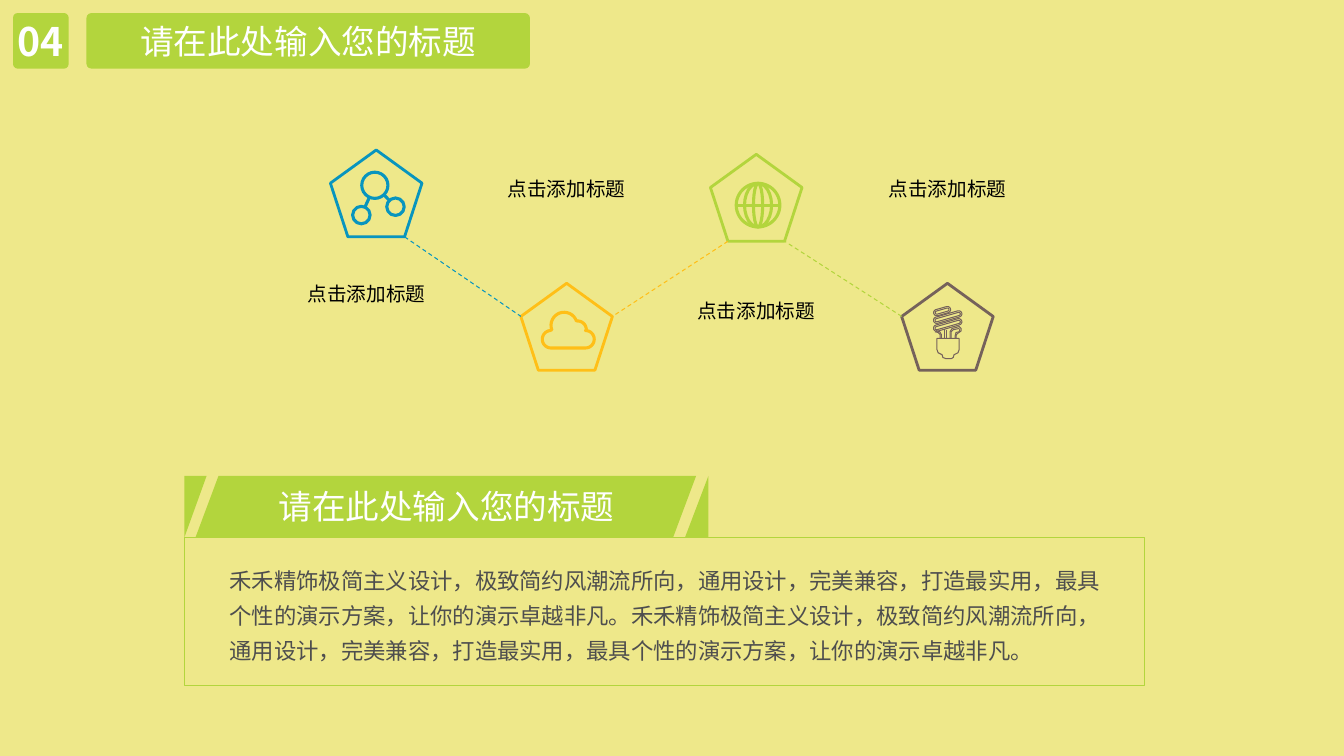
"""Build a slide with four linked pentagon icons, a title and a text panel."""
from math import cos, sin, radians, hypot

from lxml.etree import SubElement
from pptx import Presentation
from pptx.dml.color import RGBColor
from pptx.enum.dml import MSO_LINE
from pptx.enum.shapes import MSO_CONNECTOR, MSO_SHAPE
from pptx.enum.text import MSO_ANCHOR, PP_ALIGN
from pptx.oxml.ns import qn
from pptx.util import Cm, Pt

HUES = {"back": "EEE88A", "blue": "0895BE", "gold": "FFBF17", "lime": "B3D53D",
        "brown": "75625B", "white": "FFFFFF", "black": "000000", "grey": "4E4E4E"}
SANS = "Noto Sans CJK SC"
TITLE = "请在此处输入您的标题"
LABEL = "点击添加标题"
CLAIM = "禾禾精饰极简主义设计，极致简约风潮流所向，通用设计，完美兼容，打造最实用，最具个性的演示方案，让你的演示卓越非凡。"
WIDE, HIGH = 2.31, 2.19
PENTS = {"blue": (8.33, 3.78), "gold": (13.13, 7.14),
         "lime": (17.91, 3.89), "brown": (22.73, 7.14)}
FOOT_L, FOOT_R, SIDE_L, SIDE_R = (0.19, 1), (0.81, 1), (0, 0.38), (1, 0.38)
LINKS = [("blue", FOOT_R, "gold", SIDE_L, "blue"),
         ("lime", FOOT_L, "gold", SIDE_R, "gold"),
         ("brown", SIDE_L, "lime", FOOT_R, "lime")]
LABELS = [(6.78, 6.96, 4.93), (11.58, 4.32, 5.41), (16.36, 7.39, 5.41), (21.18, 4.32, 5.41)]
ATOMS = [(1.12, 0.89, 0.33), (0.78, 1.64, 0.22), (1.64, 1.43, 0.22)]
GLOBE = (1.2, 1.28, 0.55)
ARCS = [(0.76, 1.41, 0.22, 90, 262), (1.09, 1.06, 0.33, 160, 340),
        (1.43, 1.17, 0.22, -90, 0), (1.63, 1.41, 0.22, -90, 90)]
COILS = [(1.02, 0.7, 0.44), (1.16, 0.85, 0.74), (1.16, 1.05, 0.74)]
BASE = [(0.89, 1.39), (1.45, 1.39), (1.45, 1.67), (1.42, 1.75), (1.32, 1.8), (1.3, 1.87),
        (1.25, 1.9), (1.12, 1.9), (1.04, 1.87), (1.02, 1.8), (0.92, 1.75), (0.89, 1.67)]
STEMS = [[(0.84, 1.22), (0.92, 1.24), (0.97, 1.29), (0.97, 1.39)],
         [(0.87, 1.19), (0.96, 1.22), (1, 1.29), (1, 1.39)],
         [(1.09, 1.39), (1.09, 1.16)], [(1.12, 1.39), (1.12, 1.17)],
         [(1.22, 1.39), (1.22, 1.22), (1.27, 1.14), (1.45, 1.09), (1.5, 1.14),
          (1.5, 1.2), (1.4, 1.27), (1.37, 1.32), (1.37, 1.39)],
         [(1.25, 1.39), (1.25, 1.22), (1.3, 1.17), (1.44, 1.14), (1.47, 1.17),
          (1.45, 1.22), (1.37, 1.24), (1.35, 1.32), (1.35, 1.39)]]
RIBBON = [[(4.65, 11.99), (5.21, 11.99), (4.65, 13.54)],
          [(5.51, 11.99), (17.55, 11.99), (16.97, 13.54), (4.93, 13.54)],
          [(17.86, 11.99), (17.86, 13.54), (17.27, 13.54)]]

deck = Presentation()
deck.slide_width, deck.slide_height = Cm(33.88), Cm(19.05)
slide = deck.slides.add_slide(deck.slide_layouts[6])
art = slide.shapes


def rgb(hue):
    return RGBColor.from_string(HUES[hue])


def paint(part, fill=None, line=None, width=0.75):
    part.shadow.inherit = False
    if fill:
        part.fill.solid()
        part.fill.fore_color.rgb = rgb(fill)
    else:
        part.fill.background()
    if line:
        part.line.color.rgb = rgb(line)
        part.line.width = Pt(width)
    else:
        part.line.fill.background()
    return part


def shape(kind, x, y, w, h, **look):
    return paint(art.add_shape(kind, Cm(x), Cm(y), Cm(w), Cm(h)), **look)


def oval(x, y, rx, ry, hue):
    shape(MSO_SHAPE.OVAL, x - rx, y - ry, 2 * rx, 2 * ry, line=hue, width=2.2)


def trace(loops, x=0, y=0, close=True, **look):
    loops = [[(Cm(x + a), Cm(y + b)) for a, b in loop] for loop in loops]
    pen = art.build_freeform(*loops[0][0])
    for i, loop in enumerate(loops):
        if i:
            pen.move_to(*loop[0])
        pen.add_line_segments(loop[1:], close=close)
    return paint(pen.convert_to_shape(), **look)


def link(start, end, hue, width=0.75, dash=False):
    line = art.add_connector(MSO_CONNECTOR.STRAIGHT, *map(Cm, start + end))
    line.line.color.rgb = rgb(hue)
    line.line.width = Pt(width)
    if dash:
        line.line.dash_style = MSO_LINE.DASH
    SubElement(line._element.spPr, qn("a:effectLst"))


def write(part, text, size, hue, font=SANS, bold=False, pad=(0.25, 0.13), align=PP_ALIGN.CENTER):
    frame = part.text_frame
    frame.word_wrap = True
    frame.vertical_anchor = MSO_ANCHOR.MIDDLE
    frame.margin_left = frame.margin_right = Cm(pad[0])
    frame.margin_top = frame.margin_bottom = Cm(pad[1])
    para = frame.paragraphs[0]
    para.text, para.alignment = text, align
    face = para.font
    face.name, face.size, face.bold = font, Pt(size), bold
    face.color.rgb = rgb(hue)
    return para


def spot(name, corner):
    x, y = PENTS[name]
    return x + corner[0] * WIDE, y + corner[1] * HIGH


def atoms(x, y, hue):
    cx, cy, r = ATOMS[0]
    for ax, ay, ar in ATOMS:
        oval(x + ax, y + ay, ar, ar, hue)
    for ax, ay, ar in ATOMS[1:]:
        gap = hypot(ax - cx, ay - cy)
        ux, uy = (ax - cx) / gap, (ay - cy) / gap
        link((x + cx + r * ux, y + cy + r * uy), (x + ax - ar * ux, y + ay - ar * uy), hue, 2.2)


def cloud(x, y, hue):
    rim = [(cx + r * cos(radians(a + (b - a) * i / 16)), cy + r * sin(radians(a + (b - a) * i / 16)))
           for cx, cy, r, a, b in ARCS for i in range(17)]
    trace([rim], x, y, line=hue, width=2.2)


def globe(x, y, hue):
    cx, cy, r = x + GLOBE[0], y + GLOBE[1], GLOBE[2]
    for part in (1, 0.62, 0.21):
        oval(cx, cy, r * part, r, hue)
    link((cx - r, cy), (cx + r, cy), hue, 2.2)


def bulb(x, y, hue):
    for cx, cy, long in COILS:
        for cut in (0, 0.08):
            w, h = long - cut, 0.16 - cut
            bar = shape(MSO_SHAPE.ROUNDED_RECTANGLE, x + cx - w / 2, y + cy - h / 2, w, h, line=hue)
            bar.adjustments[0] = 0.5
            bar.rotation = -16
    trace(STEMS, x, y, close=False, line=hue)
    trace([BASE], x, y, line=hue)


slide.background.fill.solid()
slide.background.fill.fore_color.rgb = rgb("back")
for (hue, (x, y)), icon in zip(PENTS.items(), (atoms, cloud, globe, bulb)):
    shape(MSO_SHAPE.REGULAR_PENTAGON, x, y, WIDE, HIGH, line=hue, width=2)
    icon(x, y, hue)
for one, start, two, end, hue in LINKS:
    link(spot(one, start), spot(two, end), hue, dash=True)
for x, y, w in LABELS:
    write(art.add_textbox(Cm(x), Cm(y), Cm(w), Cm(0.86)), LABEL, 14, "black", "Arial")

write(trace(RIBBON, fill="lime"), TITLE, 24, "white")
shape(MSO_SHAPE.RECTANGLE, 4.65, 13.54, 24.21, 3.73, line="lime", width=1)
body = write(art.add_textbox(Cm(5.54), Cm(13.97), Cm(22.76), Cm(2.9)),
             CLAIM * 2, 16, "grey", align=PP_ALIGN.LEFT)
body.line_spacing = 1.3

for x, w, bend, text, size, bold, pad in [(0.33, 1.4, 0.08, "04", 28, True, (0, 0)),
                                          (2.18, 11.18, 0.09, TITLE, 24, False, (0.25, 0.13))]:
    tab = shape(MSO_SHAPE.ROUNDED_RECTANGLE, x, 0.33, w, 1.4, fill="lime")
    tab.adjustments[0] = bend
    write(tab, text, size, "white", bold=bold, pad=pad)

deck.save("out.pptx")
